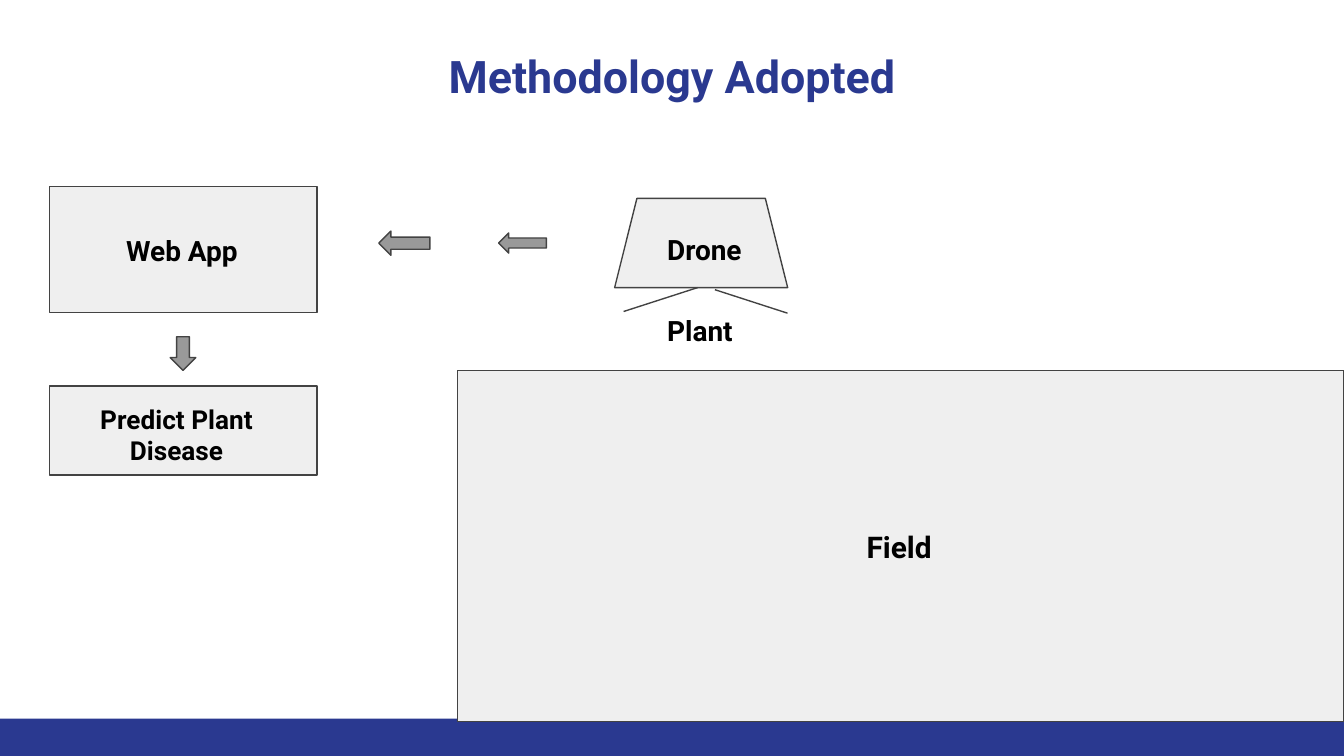
import pptx
import pptx.util
import pptx.dml.color
import pptx.enum.shapes
import pptx.enum.text
import pptx.oxml.ns
import lxml.etree

Pt = pptx.util.Pt
RGBColor = pptx.dml.color.RGBColor
Kind = pptx.enum.shapes.MSO_SHAPE
Align = pptx.enum.text.PP_ALIGN
Anchor = pptx.enum.text.MSO_ANCHOR

NAVY = RGBColor(0x2A, 0x39, 0x90)
PALE = RGBColor(0xEF, 0xEF, 0xEF)
GREY = RGBColor(0x99, 0x99, 0x99)
DARK = RGBColor(0x43, 0x43, 0x43)
BLACK = RGBColor(0, 0, 0)

INSET = 7.2
OUTLINE = 0.75


def set_all(target, values):
    for name, value in values.items():
        setattr(target, name, value)


def add_block(page, kind, place, fill, outlined=True):
    """Add a filled shape; place is left, top, width, height in points."""
    box = page.shapes.add_shape(kind, *map(Pt, place))
    box.shadow.inherit = False
    box.fill.solid()
    box.fill.fore_color.rgb = fill
    if outlined:
        box.line.color.rgb = DARK
        box.line.width = Pt(OUTLINE)
    else:
        box.line.fill.background()
    return box


def add_label(page, words, place, size, color=BLACK, align=Align.LEFT, anchor=Anchor.TOP):
    box = page.shapes.add_textbox(*map(Pt, place))
    frame = box.text_frame
    margins = dict.fromkeys(
        ("margin_left", "margin_top", "margin_right", "margin_bottom"), Pt(INSET))
    set_all(frame, {"word_wrap": True, "vertical_anchor": anchor, **margins})
    para = frame.paragraphs[0]
    para.alignment = align
    span = para.add_run()
    span.text = words
    set_all(span.font, {"name": "Roboto", "size": Pt(size), "bold": True})
    span.font.color.rgb = color


def add_line(page, ends):
    """Add a straight line; ends is x1, y1, x2, y2 in points."""
    line = page.shapes.add_connector(
        pptx.enum.shapes.MSO_CONNECTOR.STRAIGHT, *map(Pt, ends))
    line.line.color.rgb = DARK
    line.line.width = Pt(OUTLINE)
    properties = line._element.spPr
    lxml.etree.SubElement(properties, pptx.oxml.ns.qn("a:effectLst"))


def main():
    deck = pptx.Presentation()
    set_all(deck, {"slide_width": Pt(720), "slide_height": Pt(405)})
    page = deck.slides.add_slide(deck.slide_layouts[6])

    # Footer band and title
    add_block(page, Kind.RECTANGLE, (0, 385, 720, 20), NAVY, outlined=False)
    add_label(page, "Methodology Adopted", (24.5, 16.5, 671, 47.5), 24,
              NAVY, Align.CENTER, Anchor.MIDDLE)

    # Drone with its two legs, above the plant
    drone = add_block(page, Kind.TRAPEZOID, (329.3, 106.3, 92.7, 47.8), PALE)
    drone.adjustments[0] = 0.25
    add_label(page, "Drone", (350.3, 117.4, 64, 32.4), 15)
    add_line(page, (373.7, 154.1, 334.1, 166.9))
    add_line(page, (383, 155.2, 421.9, 167.8))
    add_label(page, "Plant", (350.3, 161, 56, 32.4), 15)

    # Web app and prediction
    add_block(page, Kind.FLOWCHART_PROCESS, (26.5, 100, 143.3, 67.5), PALE)
    add_label(page, "Web App", (60.5, 118.1, 78, 32.4), 15)
    add_block(page, Kind.RECTANGLE, (26.5, 206.8, 143.3, 47.8), PALE)
    add_label(page, "Predict Plant Disease", (37.3, 208.8, 114.5, 48.2), 14,
              align=Align.CENTER)

    # Flow arrows
    for kind, place in (
        (Kind.LEFT_ARROW, (267.1, 124.8, 25.6, 10.8)),
        (Kind.LEFT_ARROW, (202.9, 123.8, 27.4, 13)),
        (Kind.DOWN_ARROW, (91.2, 180.4, 13.7, 18)),
    ):
        add_block(page, kind, place, GREY)

    # Field
    add_block(page, Kind.RECTANGLE, (245, 198.5, 475, 188), PALE)
    add_label(page, "Field", (457.2, 275.8, 54, 33.8), 16)

    deck.save("out.pptx")


if __name__ == "__main__":
    main()
